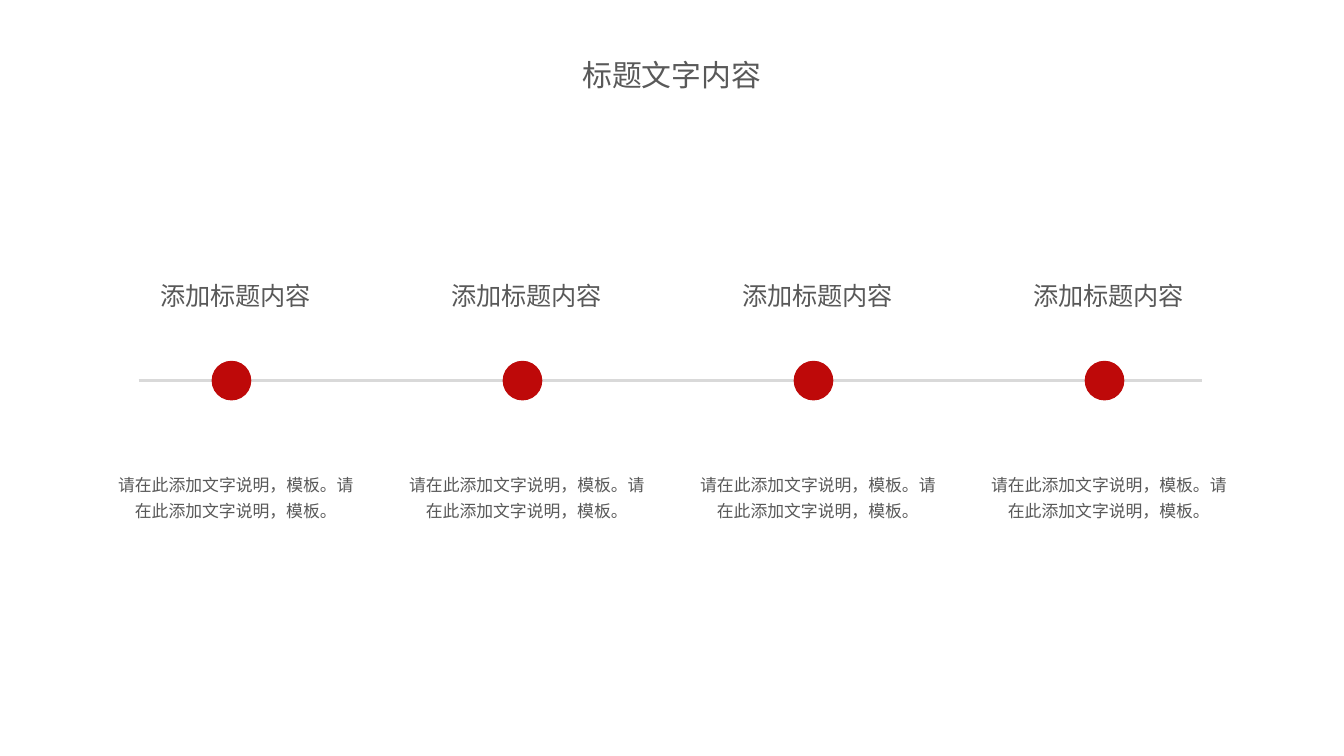
"""Build a four-step timeline slide with a title."""
from dataclasses import dataclass

from lxml import etree
from pptx import Presentation
from pptx.dml.color import RGBColor
from pptx.enum.shapes import MSO_CONNECTOR, MSO_SHAPE
from pptx.enum.text import MSO_ANCHOR, MSO_AUTO_SIZE, PP_ALIGN
from pptx.oxml.ns import qn
from pptx.util import Cm, Pt

STRAIGHT = MSO_CONNECTOR.STRAIGHT
OVAL = MSO_SHAPE.OVAL
MIDDLE = MSO_ANCHOR.MIDDLE
NO_RESIZE = MSO_AUTO_SIZE.NONE
CENTER = PP_ALIGN.CENTER


@dataclass(frozen=True)
class Theme:
    font: str = "Noto Sans CJK SC"
    text: RGBColor = RGBColor(0x59, 0x59, 0x59)
    track: RGBColor = RGBColor(0xD9, 0xD9, 0xD9)
    marker: RGBColor = RGBColor(0xBE, 0x09, 0x09)
    title_size: float = 16
    heading_size: float = 13.5
    body_size: float = 9


theme = Theme()


def place(shape, left, top, width, height):
    shape.left, shape.top = Cm(left), Cm(top)
    shape.width, shape.height = Cm(width), Cm(height)


def write(box, text, size, wrap=True, spacing=1.0):
    frame = box.text_frame
    frame.text = text
    frame.word_wrap = wrap
    frame.auto_size = NO_RESIZE
    frame.vertical_anchor = MIDDLE
    frame.margin_left = frame.margin_right = Cm(0.25)
    frame.margin_top = frame.margin_bottom = Cm(0.13)
    para = frame.paragraphs[0]
    para.alignment = CENTER
    para.line_spacing = spacing
    span = para.runs[0]
    span.font.name = theme.font
    span.font.size = Pt(size)
    span.font.color.rgb = theme.text
    east_asian = etree.SubElement(span.font._element, qn("a:ea"))
    east_asian.set("typeface", theme.font)


deck = Presentation()
deck.slide_width, deck.slide_height = Cm(25.4), Cm(14.29)
page = deck.slides.add_slide(deck.slide_layouts[5])

title = page.shapes.title
place(title, 9.09, 0.94, 7.21, 0.94)
write(title, "标题文字内容", theme.title_size)

track_y = Cm(7.19)
track = page.shapes.add_connector(STRAIGHT, Cm(2.62), track_y, Cm(22.71), track_y)
track.line.color.rgb = theme.track
track.line.width = Pt(1.5)
etree.SubElement(track._element.spPr, qn("a:effectLst"))

steps = [("添加标题内容", "请在此添加文字说明，模板。请在此添加文字说明，模板。")] * 4
step_pitch = 5.5

for index, (heading, description) in enumerate(steps):
    offset = index * step_pitch

    marker = page.shapes.add_shape(OVAL, Cm(4 + offset), Cm(6.82), Cm(0.75), Cm(0.75))
    marker.shadow.inherit = False
    marker.fill.solid()
    marker.fill.fore_color.rgb = theme.marker
    marker.line.fill.background()

    description_box = page.shapes.add_textbox(0, 0, 0, 0)
    place(description_box, 1.94 + offset, 8.74, 5.03, 1.24)
    write(description_box, description, theme.body_size, spacing=1.27)

    heading_box = page.shapes.add_textbox(0, 0, 0, 0)
    place(heading_box, 2.75 + offset, 5.16, 3.4, 0.84)
    write(heading_box, heading, theme.heading_size, wrap=False)

deck.save("out.pptx")
